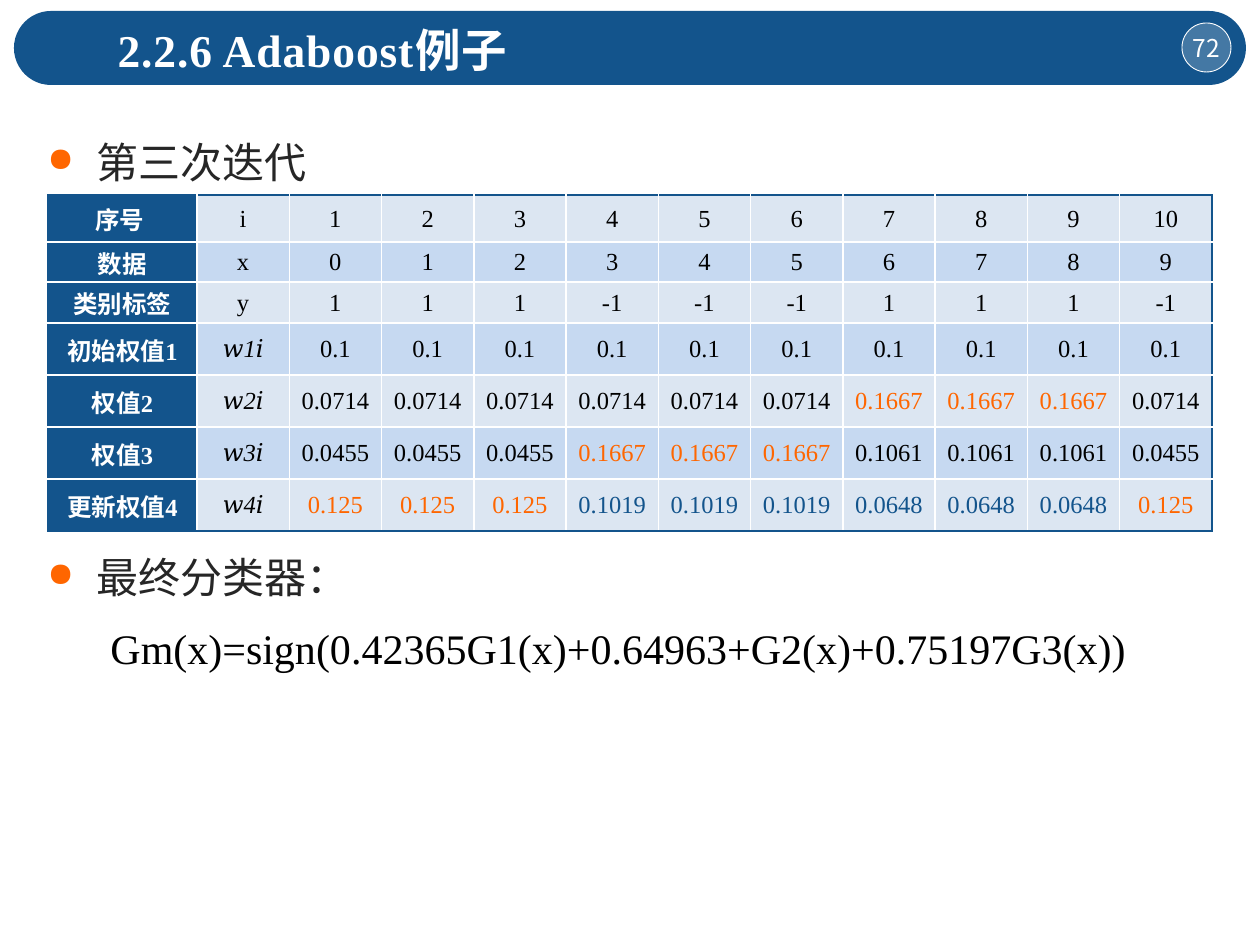
"""Build the Adaboost example slide: third iteration table and final classifier."""
from lxml import etree
from pptx import Presentation
from pptx.dml.color import RGBColor
from pptx.enum.shapes import MSO_SHAPE as SHAPE
from pptx.enum.text import MSO_ANCHOR as ANCHOR, MSO_AUTO_SIZE as AUTO, PP_ALIGN as ALIGN
from pptx.oxml import parse_xml
from pptx.oxml.ns import nsdecls, qn
from pptx.util import Pt

NAVY = RGBColor(0x13, 0x54, 0x8C)
WHITE = RGBColor(0xFF, 0xFF, 0xFF)
BLACK = RGBColor(0, 0, 0)
GREY = RGBColor(0x26, 0x26, 0x26)
ORANGE = RGBColor(0xFF, 0x66, 0x00)
BANDS = [RGBColor(0xDC, 0xE6, 0xF2), RGBColor(0xC6, 0xD9, 0xF1)]
SERIF, SANS = "Times New Roman", "Noto Sans CJK SC"
PX = 914400 / 126


def px(*lengths):
    return [round(n * PX) for n in lengths]


def add_run(p, text, size, color, bold=False, italic=False, font=SERIF):
    r = p.add_run()
    r.text = text
    f = r.font
    f.name, f.size, f.bold, f.italic = font, Pt(size), bold, italic
    f.color.rgb = color
    etree.SubElement(r._r.get_or_add_rPr(), qn("a:ea")).set("typeface", SANS)
    return r


prs = Presentation()
prs.slide_width, prs.slide_height = px(1260, 945)
s = prs.slides.add_slide(prs.slide_layouts[5])

bar = s.shapes.add_shape(SHAPE.ROUNDED_RECTANGLE, *px(14, 11, 1232, 74))
bar.adjustments[0] = 0.5
bar.shadow.inherit = False
bar.fill.solid()
bar.fill.fore_color.rgb = NAVY
bar.line.fill.background()

badge = s.shapes.add_shape(SHAPE.OVAL, *px(1182, 23, 49, 49))
badge.shadow.inherit = False
badge.fill.solid()
badge.fill.fore_color.rgb = WHITE
fill_color = badge.fill._xPr.find(qn("a:solidFill"))[0]
etree.SubElement(fill_color, qn("a:alpha")).set("val", "21000")
badge.line.color.rgb = WHITE
badge.line.width = Pt(0.5)
tf = badge.text_frame
tf.margin_left = tf.margin_right = tf.margin_top = tf.margin_bottom = 0
tf.word_wrap = False
tf.vertical_anchor = ANCHOR.MIDDLE
p = tf.paragraphs[0]
p.alignment = ALIGN.CENTER
add_run(p, "72", 14, WHITE, font=SANS)

title = s.shapes.title
title.left, title.top, title.width, title.height = px(105, 15, 935, 68)
s.shapes.element.append(title.element)
tf = title.text_frame
tf.auto_size = AUTO.NONE
tf.vertical_anchor = ANCHOR.MIDDLE
p = tf.paragraphs[0]
p.alignment = ALIGN.LEFT
r = add_run(p, "2.2.6 Adaboost例子", 26, WHITE, bold=True)
r.font._element.set("spc", "50")

body = s.shapes.add_textbox(*px(35, 105, 1191, 596))
tf = body.text_frame
tf.word_wrap = True
for i, (text, gap) in enumerate([("第三次迭代", 0), ("最终分类器：", 194)]):
    p = tf.paragraphs[0] if i == 0 else tf.add_paragraph()
    p.line_spacing = 1.5
    p.space_before = Pt(gap)
    pPr = p._p.get_or_add_pPr()
    indent, = px(49)
    pPr.set("marL", str(indent))
    pPr.set("indent", str(-indent))
    color = etree.SubElement(pPr, qn("a:buClr"))
    etree.SubElement(color, qn("a:srgbClr")).set("val", str(ORANGE))
    etree.SubElement(pPr, qn("a:buSzPct")).set("val", "80000")
    etree.SubElement(pPr, qn("a:buChar")).set("char", "●")
    add_run(p, text, 24, GREY)
p = tf.add_paragraph()
p.space_before = Pt(12)
p._p.get_or_add_pPr().set("marL", str(px(63)[0]))
add_run(p, "Gm(x)=sign(0.42365G1(x)+0.64963+G2(x)+0.75197G3(x))", 24, BLACK)

rows = [
    ["序号 ", "i", *range(1, 11)],
    ["数据", "x", *range(10)],
    ["类别标签", "y", *[1] * 3, *[-1] * 3, *[1] * 3, -1],
    ["初始权值1", "𝑤1𝑖", *[0.1] * 10],
    ["权值2", "𝑤2𝑖", *[0.0714] * 6, *[0.1667] * 3, 0.0714],
    ["权值3", "𝑤3𝑖", *[0.0455] * 3, *[0.1667] * 3, *[0.1061] * 3, 0.0455],
    ["更新权值4", "𝑤4𝑖", *[0.125] * 3, *[0.1019] * 3, *[0.0648] * 3, 0.125],
]
value_colors = {0.1667: ORANGE, 0.125: ORANGE, 0.1019: NAVY, 0.0648: NAVY}
row_heights = px(47, 40, 41, *[52] * 4)
col_widths = px(149, *[(1164 - 149) / 11] * 11)
last_row, last_col = len(rows) - 1, len(col_widths) - 1

table = s.shapes.add_table(len(rows), len(col_widths), *px(48, 195, 1164, 336)).table
for row, height in zip(table.rows, row_heights):
    row.height = height
for col, width in zip(table.columns, col_widths):
    col.width = width
for i, values in enumerate(rows):
    for j, value in enumerate(values):
        cell = table.cell(i, j)
        cell.vertical_anchor = ANCHOR.MIDDLE
        cell.margin_left, cell.margin_right, cell.margin_top, cell.margin_bottom = px(1, 1, 1, 0)
        p = cell.text_frame.paragraphs[0]
        p.alignment = ALIGN.CENTER
        color = WHITE if j == 0 else value_colors.get(value, BLACK)
        add_run(p, str(value), 14, color, bold=j == 0, italic=j == 1 and i > 2)
        tcPr = cell._tc.get_or_add_tcPr()
        edges = {"L": j == 0, "R": j == last_col, "T": i == 0, "B": i == last_row}
        for side, outer in edges.items():
            tcPr.append(parse_xml(
                f'<a:ln{side} {nsdecls("a")} w="12700"><a:solidFill>'
                f'<a:srgbClr val="{NAVY if outer else WHITE}"/></a:solidFill></a:ln{side}>'))
        cell.fill.solid()
        cell.fill.fore_color.rgb = NAVY if j == 0 else BANDS[i % 2]

prs.save("out.pptx")
